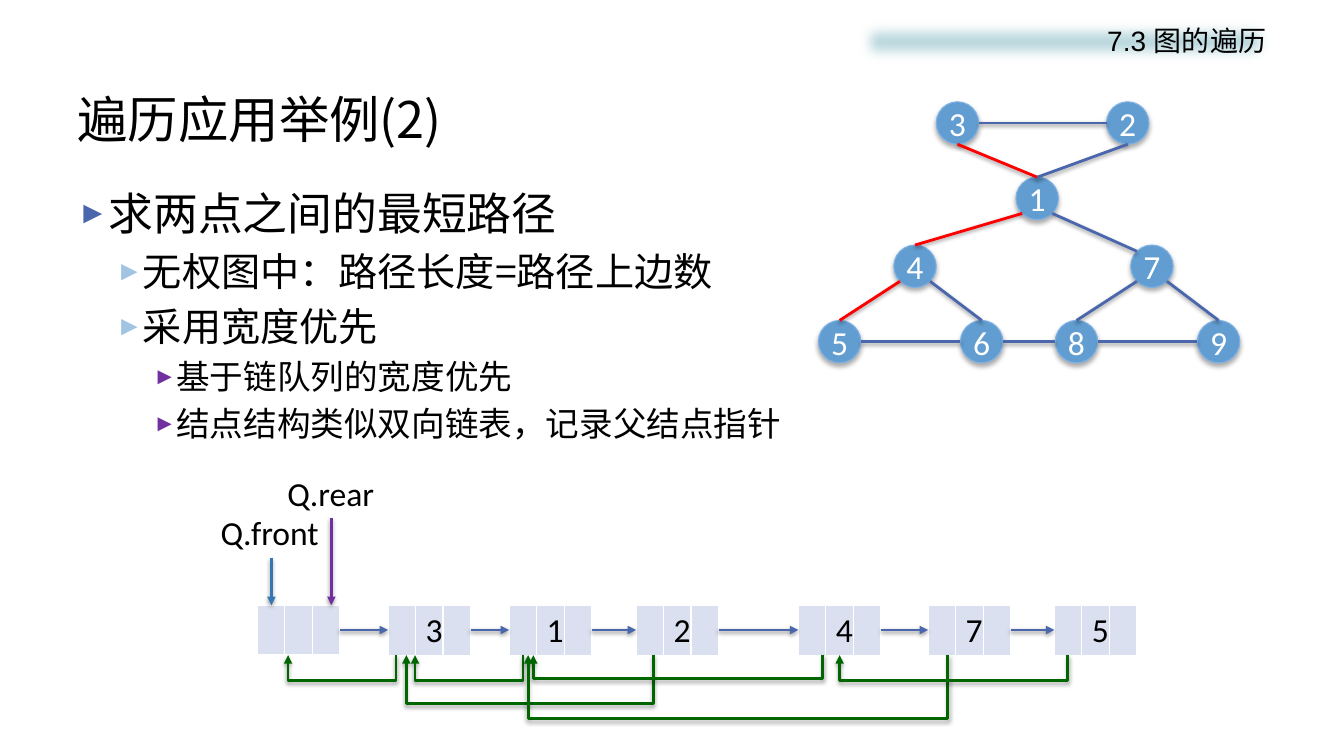
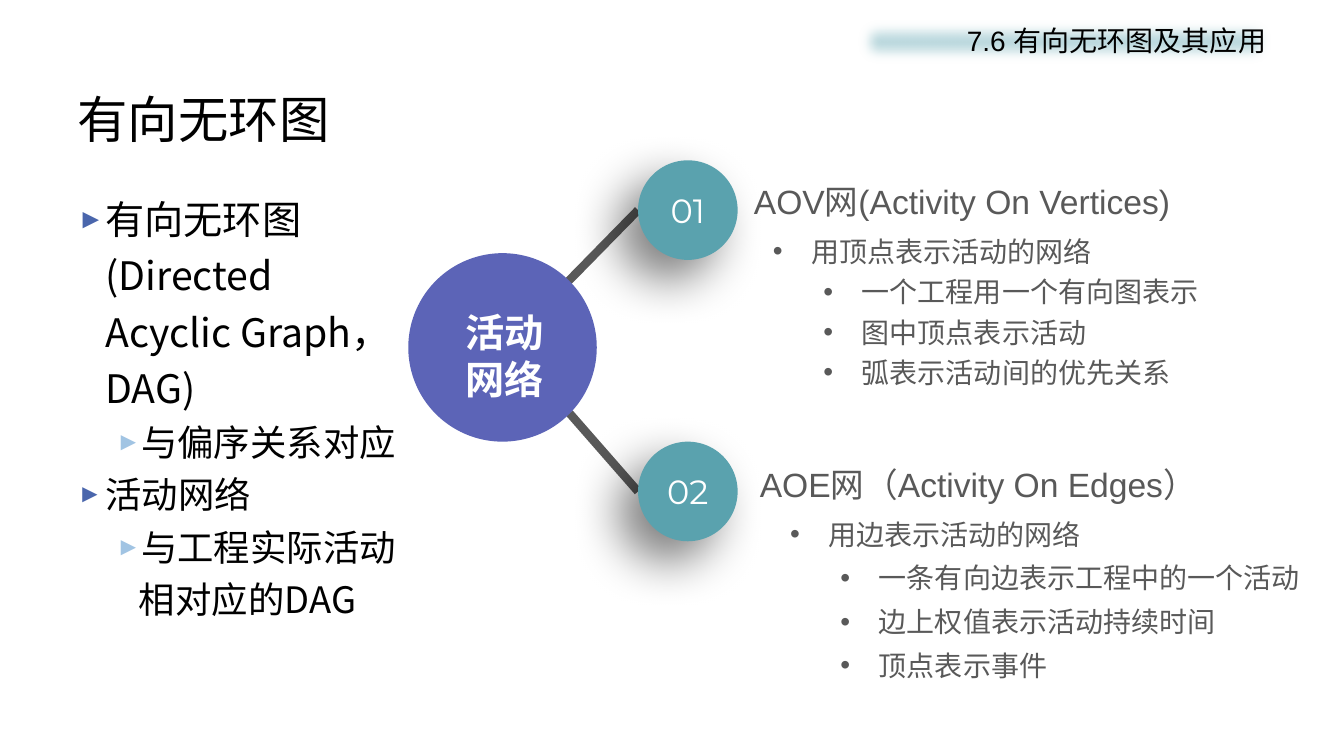
from dataclasses import dataclass
from itertools import pairwise
from math import cos, radians, sin

from lxml.etree import SubElement
from pptx import Presentation
from pptx.dml.color import RGBColor
from pptx.enum.shapes import MSO_CONNECTOR, MSO_SHAPE
from pptx.enum.text import MSO_ANCHOR, MSO_AUTO_SIZE, PP_ALIGN
from pptx.oxml.ns import qn
from pptx.util import Cm, Pt


@dataclass(frozen=True)
class Theme:
    black: str = "000000"
    white: str = "FFFFFF"
    grey: str = "595959"
    band: str = "BDDADF"
    edge: str = "4A66AC"
    bullet: str = "A1C4E3"
    purple: str = "7030A0"
    red: str = "FF0000"
    green: str = "006600"
    front: str = "3477B2"
    node: str = "629DD1"
    node_line: str = "7EB2E6"
    cell: str = "DAE0EF"
    hub: str = "5C64B7"
    badge: str = "5AA2AE"
    cjk: str = "Noto Sans CJK SC"
    sans: str = "Arial"
    label: str = "Calibri"
    number: str = "Montserrat"
    title_size: int = 36
    label_size: int = 24
    small_size: int = 20


THEME = Theme()
TITLE_BOX = (1.7, 2.03, 30.48, 1.91)
BAND_BOX = (21.49, 0.36, 10.67, 1.37)

ARROW_BULLETS = [
    (THEME.edge, 0.71, 0.71),
    (THEME.bullet, 1.55, 0.58),
    (THEME.purple, 2.39, 0.48),
]
DOT_BULLETS = [(None, 0.97, 0.97), (None, 2.24, 0.97)]

TRAVERSAL = {
    "title": "遍历应用举例(2)",
    "section": "7.3 图的遍历",
    "box": (1.7, 4.45, 18.42, 7.98),
    "body": [
        (0, 32, "求两点之间的最短路径"),
        (1, 28, "无权图中：路径长度=路径上边数"),
        (1, 28, "采用宽度优先"),
        (2, 24, "基于链队列的宽度优先"),
        (2, 24, "结点结构类似双向链表，记录父结点指针"),
    ],
    "format": {"before": 0.2},
}
ACYCLIC = {
    "title": "有向无环图",
    "section": "7.6 有向无环图及其应用",
    "box": (1.7, 4.45, 8.79, 12.57),
    "body": [
        (0, 28, "有向无环图(Directed Acyclic Graph，DAG)"),
        (1, 26, "与偏序关系对应"),
        (0, 26, "活动网络"),
        (1, 26, "与工程实际活动相对应的DAG"),
    ],
    "format": {"spacing": 1.2},
}

NODE_SIZE = 1.07
NODES = {
    "3": (24.13, 3.1), "2": (28.42, 3.1), "1": (26.14, 5),
    "4": (23.06, 6.71), "7": (29.03, 6.71), "5": (21.16, 8.61),
    "6": (24.74, 8.61), "8": (27.13, 8.61), "9": (30.71, 8.61),
}
ANGLES = {"E": 0, "SE": 45, "S": 90, "SW": 135, "W": 180, "NW": 225, "N": 270}
EDGES = [
    ("3", "E", "2", "W"), ("3", "S", "1", "N"), ("2", "S", "1", "N"),
    ("1", "SW", "4", "N"), ("4", "SW", "5", "N"), ("4", "SE", "6", "N"),
    ("5", "E", "6", "W"), ("1", "SE", "7", "NW"), ("7", "SW", "8", "N"),
    ("7", "SE", "9", "N"), ("8", "E", "9", "W"), ("6", "E", "8", "W"),
]
SHORTEST_PATH = {("3", "1"), ("1", "4"), ("4", "5")}

QUEUE_TOP, QUEUE_WIDTH, QUEUE_HEIGHT = 15.25, 2.08, 1.25
QUEUE = [
    (6.48, ""), (9.78, "3"), (12.83, "1"), (16.03, "2"),
    (20.12, "4"), (23.39, "7"), (26.57, "5"),
]
PARENT_LINKS = [
    (9.98, 7.26, 0.65), (13.18, 10.46, 0.65), (16.46, 10.24, 1.23),
    (20.73, 13.44, 0.6), (23.88, 13.31, 1.6), (26.9, 21.16, 0.64),
]
QUEUE_ENDS = [
    ("Q.front", (5.31, 12.78, 3, 1.27), 6.84, 14.05, THEME.front),
    ("Q.rear", (6.99, 11.79, 2.72, 1.27), 8.35, 13.06, THEME.purple),
]

BADGE_SIZE = 2.51
NETWORKS = [
    {
        "number": "01", "badge": (16.08, 4.04), "spoke": (14.27, 7.14),
        "heading": "AOV网(Activity On Vertices)",
        "heading_box": (18.75, 3.81, 11.81, 1.8),
        "list_box": (19.23, 5.51, 14.1, 4.27), "spacing": 1.2,
        "items": ["用顶点表示活动的网络", "一个工程用一个有向图表示",
                  "图中顶点表示活动", "弧表示活动间的优先关系"],
    },
    {
        "number": "02", "badge": (16.08, 11.13), "spoke": (14.35, 10.41),
        "heading": "AOE网（Activity On Edges）",
        "heading_box": (18.9, 10.95, 14.43, 1.55),
        "list_box": (19.66, 12.55, 13.67, 4.7), "spacing": 1.3,
        "items": ["用边表示活动的网络", "一条有向边表示工程中的一个活动",
                  "边上权值表示活动持续时间", "顶点表示事件"],
    },
]
LINE_SHADOW = (38, 3.1, 1.6, 90)
NODE_SHADOW = (32, 3.5, 2.2, 90)
BADGE_SHADOW = (50, 35, 20, 135)


def set_values(target, values):
    for name, value in values.items():
        setattr(target, name, value)


def lengths(values):
    return [Cm(value) for value in values]


def add_element(parent, tag, **attributes):
    values = {name: str(value) for name, value in attributes.items()}
    return SubElement(parent, qn(tag), values)


def add_shadow(shape, shadow=None):
    effects = add_element(shape._element.spPr, "a:effectLst")
    if shadow:
        alpha, blur, distance, angle = shadow
        outer = add_element(effects, "a:outerShdw", blurRad=Pt(blur), dist=Pt(distance),
                            dir=angle * 60000, rotWithShape=0)
        color = add_element(outer, "a:srgbClr", val=THEME.black)
        add_element(color, "a:alpha", val=alpha * 1000)
    return effects


def write(paragraph, text, size, color, font=THEME.cjk, bold=False):
    run = paragraph.add_run()
    run.text = text
    set_values(run.font, {"size": Pt(size), "bold": bold, "name": font})
    run.font.color.rgb = RGBColor.from_string(color)
    add_element(run._r.get_or_add_rPr(), "a:ea", typeface=THEME.cjk)


def add_bullet(paragraph, color, margin, hanging):
    properties = paragraph._p.get_or_add_pPr()
    properties.set("marL", str(Cm(margin)))
    properties.set("indent", str(-Cm(hanging)))
    if color:
        holder = add_element(properties, "a:buClr")
        add_element(holder, "a:srgbClr", val=color)
        add_element(properties, "a:buSzPct", val=70000)
    add_element(properties, "a:buFont", typeface=THEME.sans)
    add_element(properties, "a:buChar", char="►" if color else "•")


def fill_text(shape, items, color, font=THEME.cjk, spacing=1, before=0,
              bullets=None, align=PP_ALIGN.LEFT, bold=False):
    frame = shape.text_frame
    set_values(frame, {"word_wrap": True, "margin_top": Cm(0.23),
                       "vertical_anchor": MSO_ANCHOR.TOP})
    for index, (level, size, text) in enumerate(items):
        paragraph = frame.add_paragraph() if index else frame.paragraphs[0]
        if bullets:
            add_bullet(paragraph, *bullets[level])
        set_values(paragraph, {
            "level": level, "alignment": align,
            "line_spacing": Pt(round(1.2 * spacing * size, 1)),
            "space_before": Pt(before * size if index else 0),
        })
        write(paragraph, text, size, color, font, bold)


def add_text(slide, box, items, color, **formats):
    shape = slide.shapes.add_textbox(*lengths(box))
    fill_text(shape, items, color, **formats)
    return shape


def add_filled(slide, kind, box, color, line=None):
    shape = slide.shapes.add_shape(kind, *lengths(box))
    shape.fill.solid()
    shape.fill.fore_color.rgb = RGBColor.from_string(color)
    if line:
        shape.line.color.rgb = RGBColor.from_string(line)
        shape.line.width = Pt(0.75)
    else:
        shape.line.fill.background()
    return shape


def add_disc(slide, box, color, text, font, shadow, line=None):
    disc = add_filled(slide, MSO_SHAPE.OVAL, box, color, line)
    add_shadow(disc, shadow)
    set_values(disc.text_frame, {"word_wrap": False, "vertical_anchor": MSO_ANCHOR.MIDDLE})
    paragraph = disc.text_frame.paragraphs[0]
    paragraph.alignment = PP_ALIGN.CENTER
    write(paragraph, text, THEME.label_size, THEME.white, font)


def add_line(slide, start, end, color, width=2, arrow=False,
             shadow=LINE_SHADOW, kind=MSO_CONNECTOR.STRAIGHT):
    line = slide.shapes.add_connector(kind, *lengths((*start, *end)))
    line.line.color.rgb = RGBColor.from_string(color)
    line.line.width = Pt(width)
    if arrow:
        add_element(line.line._get_or_add_ln(), "a:tailEnd", type="triangle")
    add_shadow(line, shadow)
    return line


def add_parent_link(slide, start, end, depth):
    rise = 0.01
    span = start - end
    left = (start + end - rise) / 2
    top = QUEUE_TOP + QUEUE_HEIGHT + (rise - span) / 2
    link = add_line(slide, (left, top), (left + rise, top + span), THEME.green,
                    arrow=True, kind=MSO_CONNECTOR.ELBOW)
    properties = link._element.spPr
    properties.find(qn("a:xfrm")).set("rot", str(90 * 60000))
    adjustments = properties.find(qn("a:prstGeom")).find(qn("a:avLst"))
    add_element(adjustments, "a:gd", name="adj1", fmla=f"val {round(depth / rise * 100000)}")


def add_queue_cell(slide, left, text):
    box = lengths((left, QUEUE_TOP, QUEUE_WIDTH, QUEUE_HEIGHT))
    table = slide.shapes.add_table(1, 3, *box).table
    set_values(table, {"first_row": False, "horz_banding": False})
    for cell in table.iter_cells():
        properties = cell._tc.get_or_add_tcPr()
        for side in ("L", "R", "T", "B"):
            border = add_element(properties, f"a:ln{side}", w=Pt(1))
            fill = add_element(border, "a:solidFill")
            add_element(fill, "a:srgbClr", val=THEME.white)
        cell.fill.solid()
        cell.fill.fore_color.rgb = RGBColor.from_string(THEME.cell)
    if text:
        paragraph = table.cell(0, 1).text_frame.paragraphs[0]
        paragraph.alignment = PP_ALIGN.CENTER
        write(paragraph, text, THEME.label_size, THEME.black, THEME.label)


def add_slide(presentation, content):
    slide = presentation.slides.add_slide(presentation.slide_layouts[5])
    title = slide.shapes.title
    set_values(title, dict(zip(("left", "top", "width", "height"), lengths(TITLE_BOX))))
    set_values(title.text_frame, {"vertical_anchor": MSO_ANCHOR.MIDDLE,
                                  "auto_size": MSO_AUTO_SIZE.NONE})
    paragraph = title.text_frame.paragraphs[0]
    paragraph.alignment = PP_ALIGN.LEFT
    write(paragraph, content["title"], THEME.title_size, THEME.black)
    add_text(slide, content["box"], content["body"], THEME.black,
             bullets=ARROW_BULLETS, **content["format"])
    band = add_filled(slide, MSO_SHAPE.RECTANGLE, BAND_BOX, THEME.band)
    add_element(add_shadow(band), "a:softEdge", rad=Pt(10))
    fill_text(band, [(0, THEME.small_size, content["section"])], THEME.black,
              font=THEME.sans, align=PP_ALIGN.RIGHT)
    return slide


def node_point(name, side):
    angle = radians(ANGLES[side])
    x, y = NODES[name]
    return x + NODE_SIZE / 2 * cos(angle), y + NODE_SIZE / 2 * sin(angle)


def build_traversal(presentation):
    slide = add_slide(presentation, TRAVERSAL)
    for name, (x, y) in NODES.items():
        box = (x - NODE_SIZE / 2, y - NODE_SIZE / 2, NODE_SIZE, NODE_SIZE)
        add_disc(slide, box, THEME.node, name, THEME.label, NODE_SHADOW, THEME.node_line)
    for first, leave, second, enter in EDGES:
        color = THEME.red if (first, second) in SHORTEST_PATH else THEME.edge
        add_line(slide, node_point(first, leave), node_point(second, enter), color)
    for left, text in QUEUE:
        add_queue_cell(slide, left, text)
    middle = QUEUE_TOP + QUEUE_HEIGHT / 2
    for (left, _), (following, _) in pairwise(QUEUE):
        add_line(slide, (left + QUEUE_WIDTH, middle), (following, middle), THEME.edge, arrow=True)
    for link in PARENT_LINKS:
        add_parent_link(slide, *link)
    for text, box, x, top, color in QUEUE_ENDS:
        add_line(slide, (x, top), (x, QUEUE_TOP), color, arrow=True)
        label = add_text(slide, box, [(0, THEME.label_size, text)], THEME.black, font=THEME.label)
        set_values(label.text_frame, {"word_wrap": False, "margin_top": Cm(0.13)})


def build_acyclic(presentation):
    slide = add_slide(presentation, ACYCLIC)
    for network in NETWORKS:
        left, top = network["badge"]
        add_line(slide, network["spoke"], (left, top + BADGE_SIZE / 2), THEME.grey,
                 width=6, shadow=None)
    for network in NETWORKS:
        add_disc(slide, (*network["badge"], BADGE_SIZE, BADGE_SIZE), THEME.badge,
                 network["number"], THEME.number, BADGE_SHADOW)
        add_text(slide, network["heading_box"], [(0, THEME.label_size, network["heading"])],
                 THEME.grey, font=THEME.sans, spacing=1.5)
        items = [(min(index, 1), THEME.small_size, text)
                 for index, text in enumerate(network["items"])]
        add_text(slide, network["list_box"], items, THEME.grey, font=THEME.label,
                 spacing=network["spacing"], bullets=DOT_BULLETS)
    ring = add_filled(slide, MSO_SHAPE.DONUT, (10.29, 6.38, 4.75, 4.75), THEME.hub)
    ring.adjustments[0] = 0.05
    disc = add_filled(slide, MSO_SHAPE.OVAL, (10.39, 6.48, 4.55, 4.55), THEME.hub)
    for shape in (ring, disc):
        shape.shadow.inherit = False
    label = add_text(slide, (11.46, 7.54, 2.51, 2.64), [(0, 28, "活动"), (0, 28, "网络")],
                     THEME.white, align=PP_ALIGN.CENTER, bold=True)
    label.text_frame.word_wrap = False


def main():
    presentation = Presentation()
    set_values(presentation, {"slide_width": Cm(33.87), "slide_height": Cm(19.05)})
    build_traversal(presentation)
    build_acyclic(presentation)
    presentation.save("out.pptx")


if __name__ == "__main__":
    main()
